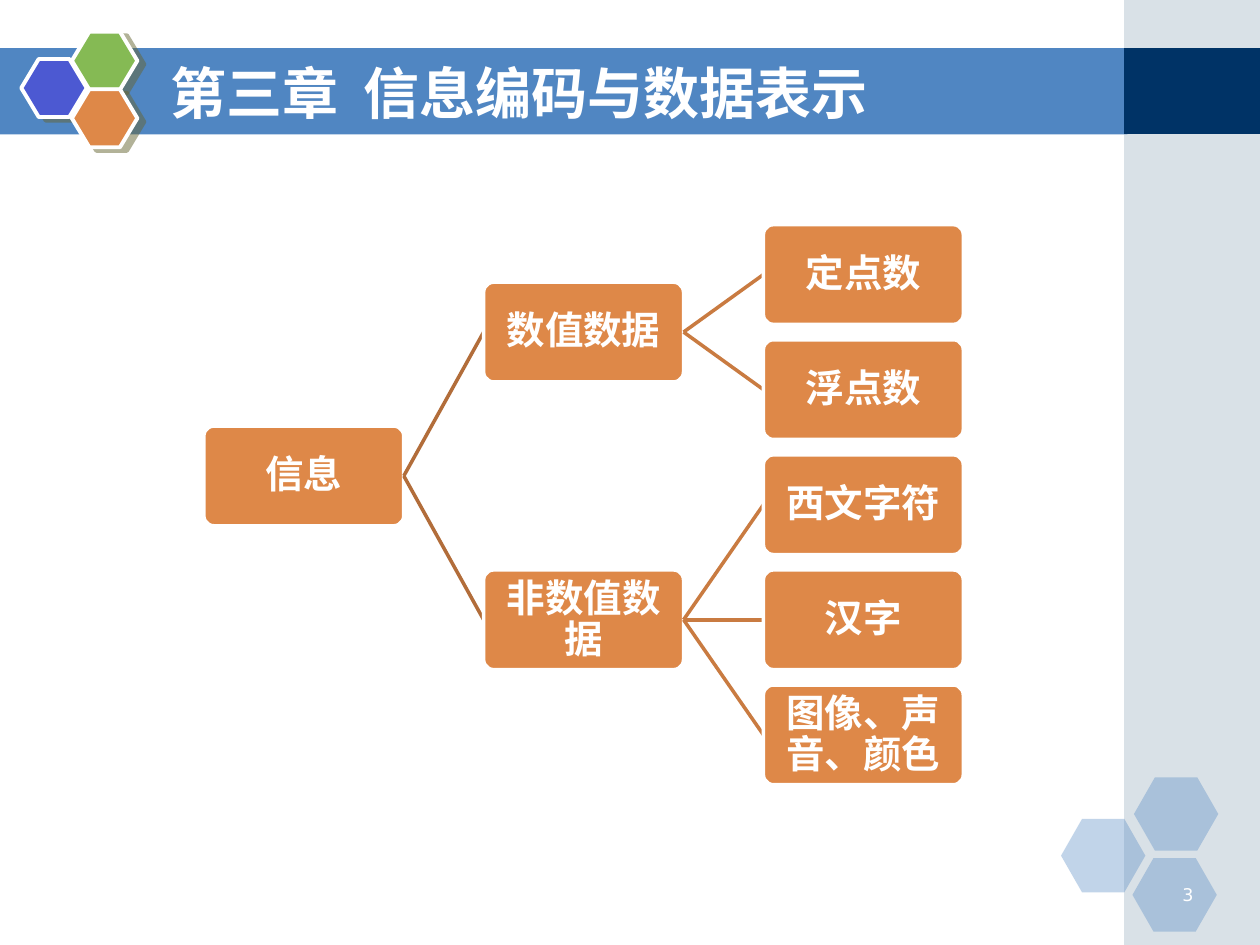
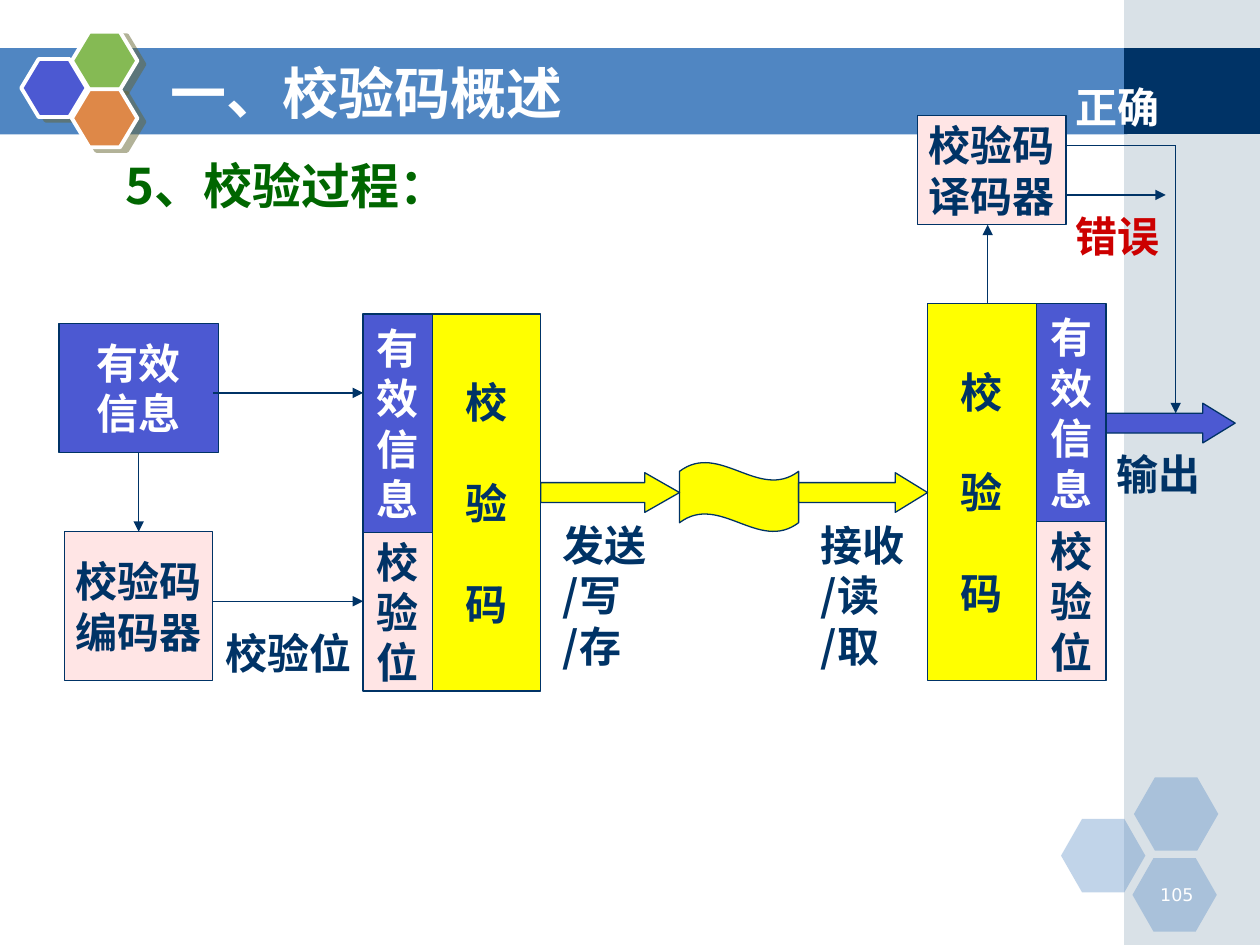
"""Build two slides on data coding and check codes."""
from lxml.etree import SubElement
from pptx import Presentation
from pptx.dml.color import RGBColor
from pptx.enum.shapes import MSO_CONNECTOR, MSO_SHAPE
from pptx.enum.text import MSO_ANCHOR, PP_ALIGN
from pptx.oxml.ns import qn
from pptx.util import Cm, Pt

hue = RGBColor.from_string
NAVY, WHITE, BLUE, INDIGO = "003366", "FFFFFF", "5086C2", "4C59D2"
ORANGE, LEAF, PINK, YELLOW = "DE8848", "85BA54", "FFE5E5", "FFFF00"
GREEN, RED, MIST, SHADE = "006600", "CC0000", "A0B5C4", "666633"
CENTER, LEFT, RIGHT = PP_ALIGN.CENTER, PP_ALIGN.LEFT, PP_ALIGN.RIGHT
TOP, MIDDLE = MSO_ANCHOR.TOP, MSO_ANCHOR.MIDDLE
RECT, HEX, ARROW = MSO_SHAPE.RECTANGLE, MSO_SHAPE.HEXAGON, MSO_SHAPE.RIGHT_ARROW


def draw(page, kind, area, fill, line=None, width=0.75, adjust=(), alpha=None):
    shape = page.shapes.add_shape(kind, *map(Cm, area))
    shape.shadow.inherit = False
    shape.fill.solid()
    shape.fill.fore_color.rgb = hue(fill)
    if alpha:
        paint = shape.element.spPr.find(qn("a:solidFill"))[0]
        SubElement(paint, qn("a:alpha"), val=str(alpha * 1000))
    if line:
        shape.line.color.rgb = hue(line)
        shape.line.width = Pt(width)
    else:
        shape.line.fill.background()
    for spot, value in enumerate(adjust):
        shape.adjustments[spot] = value
    return shape


def write(shape, text, size=24, color=NAVY, font="Noto Sans CJK SC", bold=True,
          align=CENTER, anchor=MIDDLE, wrap=False, inset=(0.25, 0.13),
          pitch=1.2, gap=0):
    frame = shape.text_frame
    frame.word_wrap = wrap
    frame.vertical_anchor = anchor
    frame.margin_left = frame.margin_right = Cm(inset[0])
    frame.margin_top = frame.margin_bottom = Cm(inset[1])
    for row, words in enumerate(text.split("\n")):
        para = frame.add_paragraph() if row else frame.paragraphs[0]
        para.alignment = align
        para.line_spacing = Pt(round(size * pitch, 1))
        if row and gap:
            para.space_before = Pt(gap)
        run = para.add_run()
        run.text = words
        run.font.size = Pt(size)
        run.font.bold = bold
        run.font.name = font
        run.font.color.rgb = hue(color)
        SubElement(run.font._element, qn("a:ea"), typeface=font)


deck = Presentation()
deck.slide_width, deck.slide_height = Cm(25.4), Cm(19.05)

pages = []
for title, number in (("第三章  信息编码与数据表示", "3"), ("一、校验码概述", "105")):
    page = deck.slides.add_slide(deck.slide_layouts[6])
    pages.append(page)
    draw(page, RECT, (0, 0.97, 22.73, 1.74), BLUE)
    draw(page, RECT, (22.66, 0, 2.74, 19.05), MIST, alpha=40)
    draw(page, RECT, (22.66, 0.97, 2.74, 1.73), NAVY)
    for x, y in ((21.39, 16.51), (22.86, 15.67), (22.83, 17.3)):
        draw(page, HEX, (x, y, 1.7, 1.48), BLUE, adjust=[0.286], alpha=35)
    for x, y, fill in ((0.43, 1.19, INDIGO), (1.45, 0.64, LEAF), (1.45, 1.8, ORANGE)):
        badge = draw(page, HEX, (x, y, 1.32, 1.17), fill, WHITE, 2.25, [0.3])
        glow = badge.element.spPr.find(qn("a:effectLst"))
        cast = SubElement(glow, qn("a:outerShdw"), blurRad="0", dist=str(Pt(4.5)),
                          dir=str(27 * 60000), algn="ctr", rotWithShape="0")
        tint = SubElement(cast, qn("a:srgbClr"), val=SHADE)
        SubElement(tint, qn("a:alpha"), val="50000")
    label = page.shapes.add_textbox(Cm(23.04), Cm(17.7), Cm(1.27), Cm(0.64))
    write(label, number, size=10, color=WHITE, font="DejaVu Sans", bold=False,
          align=RIGHT, anchor=TOP, wrap=True)
    label = page.shapes.add_textbox(Cm(3.18), Cm(1.07), Cm(18.62), Cm(1.57))
    write(label, title, size=32, color=WHITE, align=LEFT, wrap=True)

tree, flow = pages

nodes = (
    ("信息", 0, 1.75, None),
    ("数值数据", 1, 0.5, "信息"),
    ("定点数", 2, 0, "数值数据"),
    ("浮点数", 2, 1, "数值数据"),
    ("非数值数据", 1, 3, "信息"),
    ("西文字符", 2, 2, "非数值数据"),
    ("汉字", 2, 3, "非数值数据"),
    ("图像、声音、颜色", 2, 4, "非数值数据"),
)
boxes = {}
for name, col, row, parent in nodes:
    if parent:
        link = tree.shapes.add_connector(MSO_CONNECTOR.STRAIGHT, 0, 0, 0, 0)
    area = (4.11 + 5.64 * col, 4.53 + 2.32 * row, 4.03, 2.01)
    box = draw(tree, MSO_SHAPE.ROUNDED_RECTANGLE, area, ORANGE, WHITE, 2, [0.1])
    write(box, name, size=22, color=WHITE, wrap=True, inset=(0.06, 0.06), pitch=1.07)
    boxes[name] = box
    if parent:
        link.begin_connect(boxes[parent], 3)
        link.end_connect(box, 1)
        link.line.color.rgb = hue("B26D3A" if col == 1 else "C97B41")
        link.line.width = Pt(2)
        SubElement(link._element.spPr, qn("a:effectLst"))

source = draw(flow, RECT, (1.19, 6.52, 3.21, 2.6), INDIGO, NAVY)
write(source, "有效\n信息", color=WHITE)
coder = draw(flow, RECT, (1.3, 10.72, 2.99, 3), PINK, NAVY)
write(coder, "校验码\n编码器")
check = draw(flow, RECT, (18.49, 2.33, 3, 2.2), PINK, NAVY)
write(check, "校验码\n译码器")

for code, stack, top in ((8.71, 7.32, 6.33), (18.7, 20.9, 6.12)):
    box = draw(flow, RECT, (code, top, 2.19, 7.6), YELLOW, NAVY)
    write(box, "校\n验\n码", gap=28.8)
    box = draw(flow, RECT, (stack, top, 1.4, 4.4), INDIGO, NAVY)
    write(box, "\n".join("有效信息"), color=WHITE)
    box = draw(flow, RECT, (stack, top + 4.4, 1.4, 3.2), PINK, NAVY)
    write(box, "\n".join("校验位"))

draw(flow, MSO_SHAPE.WAVE, (13.7, 9.32, 2.4, 1.4), YELLOW, NAVY, adjust=[0.13, 0])
for x, y, width, fill, head in (
    (10.9, 9.53, 2.8, YELLOW, 0.877),
    (16.1, 9.53, 2.6, YELLOW, 0.815),
    (22.3, 8.13, 2.6, INDIGO, 0.815),
):
    draw(flow, ARROW, (x, y, width, 0.8), fill, NAVY, adjust=[0.5, head])

for text, x, y, width, height, side, style in (
    ("5、校验过程：", 2.29, 3, 19.96, 2.29, 0.25, {"size": 28, "color": GREEN}),
    ("校验位", 4.29, 12.52, 3.81, 1.27, 0.25, {}),
    ("发送\n/写\n/存", 11.1, 10.34, 2.41, 3.3, 0.25, {}),
    ("接收\n/读\n/取", 16.3, 10.34, 2.41, 3.3, 0.25, {}),
    ("正确", 21.69, 1.52, 1.8, 1.27, 0, {"color": WHITE}),
    ("错误", 21.69, 4.12, 1.8, 1.27, 0, {"color": RED}),
    ("输出", 22.5, 8.92, 1.8, 1.27, 0, {}),
):
    label = flow.shapes.add_textbox(Cm(x), Cm(y), Cm(width), Cm(height))
    write(label, text, align=LEFT, anchor=TOP, wrap=True, inset=(side, 0.13), **style)

for *ends, tip, joint in (
    (2.79, 9.12, 2.79, 10.72, True, (source, coder)),
    (4.29, 7.92, 7.32, 7.92, True, None),
    (4.29, 12.12, 7.32, 12.12, True, None),
    (19.91, 6.12, 19.91, 4.53, True, None),
    (21.49, 3.93, 23.5, 3.93, True, None),
    (21.49, 2.93, 23.7, 2.93, False, None),
    (23.7, 2.93, 23.7, 8.33, True, None),
):
    link = flow.shapes.add_connector(MSO_CONNECTOR.STRAIGHT, *map(Cm, ends))
    if joint:
        link.begin_connect(joint[0], 2)
        link.end_connect(joint[1], 0)
    link.line.color.rgb = hue(NAVY)
    link.line.width = Pt(0.75)
    if tip:
        SubElement(link.line._get_or_add_ln(), qn("a:tailEnd"), type="triangle")
    SubElement(link._element.spPr, qn("a:effectLst"))

deck.save("out.pptx")
